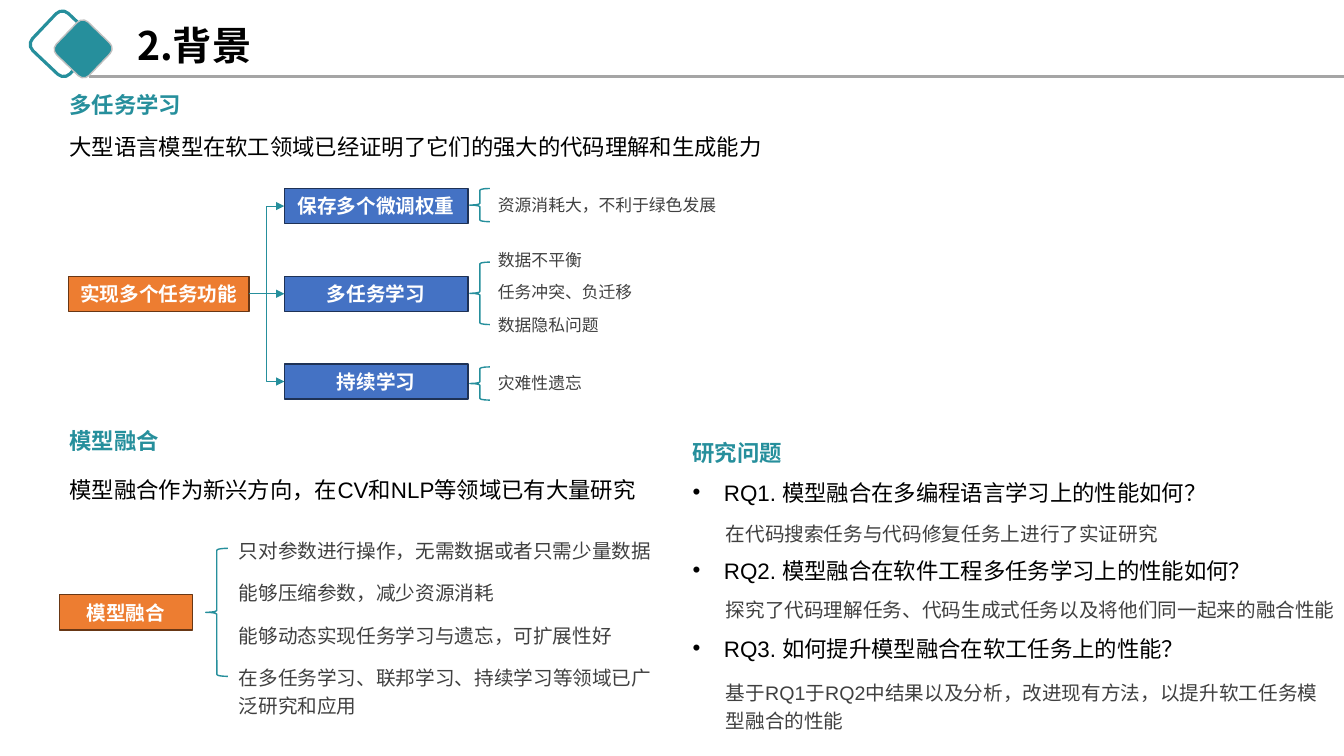
from lxml import etree
from pptx import Presentation
from pptx import util as u
from pptx.dml.color import RGBColor
from pptx.enum import shapes, text
from pptx.oxml.ns import qn

TEAL, ORANGE, BLUE = "268F9C", "ED7D31", "4472C4"
BLACK, GREY, WHITE = "000000", "404040", "FFFFFF"
HEADING_FONT = "Noto Sans CJK SC"
MIDDLE, TOP = text.MSO_ANCHOR.MIDDLE, text.MSO_ANCHOR.TOP


def rgb(value):
    """Turn a hex string into a colour."""
    return RGBColor.from_string(value)


def add_span(para, words, size, colour, font="Arial", bold=False):
    """Add one formatted run to a paragraph."""
    span = para.add_run()
    span.text = words
    span.font.size = u.Pt(size)
    span.font.name = font
    span.font.bold = bold
    span.font.color.rgb = rgb(colour)
    props = span._r.get_or_add_rPr()
    props.set("lang", "zh-CN")
    if font == HEADING_FONT:
        props.find(qn("a:latin")).addnext(
            etree.Element(qn("a:ea"), typeface=font))


def place(shape, left, top, width, height):
    """Move and size a shape, in inches."""
    shape.left, shape.top = u.Inches(left), u.Inches(top)
    shape.width, shape.height = u.Inches(width), u.Inches(height)


def add_text(page, words, left, top, width, height=0.37, size=16,
             colour=BLACK, font="Arial", bold=False, spacing=None, anchor=TOP):
    """Add a one-paragraph text box."""
    box = page.shapes.add_textbox(*map(u.Inches, (left, top, width, height)))
    frame = box.text_frame
    frame.word_wrap = True
    frame.auto_size = text.MSO_AUTO_SIZE.SHAPE_TO_FIT_TEXT
    frame.vertical_anchor = anchor
    para = frame.paragraphs[0]
    if spacing:
        para.line_spacing = spacing
    add_span(para, words, size, colour, font, bold)


def add_heading(page, words, left, top, width=1.88):
    """Add a teal section heading."""
    add_text(page, words, left, top, width, colour=TEAL,
             font=HEADING_FONT, bold=True)


def add_detail(page, words, left, top, width, height=0.36, size=14, anchor=TOP):
    """Add a grey explanatory text."""
    add_text(page, words, left, top, width, height, size, GREY,
             spacing=1.2, anchor=anchor)


def add_outline(page, kind, left, top, width, height, line, weight=1,
                fill=None, turn=0):
    """Add a preset shape with a line and an optional fill."""
    shape = page.shapes.add_shape(
        kind, *map(u.Inches, (left, top, width, height)))
    shape.shadow.inherit = False
    shape.rotation = turn
    if fill:
        shape.fill.solid()
        shape.fill.fore_color.rgb = rgb(fill)
    else:
        shape.fill.background()
    shape.line.color.rgb = rgb(line)
    shape.line.width = u.Pt(weight)
    return shape


def add_label(page, words, left, top, width, fill, line):
    """Add a filled rectangle with a bold white label."""
    box = add_outline(page, shapes.MSO_SHAPE.RECTANGLE, left, top, width, 0.35,
                      line, fill=fill)
    box.text_frame.vertical_anchor = MIDDLE
    para = box.text_frame.paragraphs[0]
    para.alignment = text.PP_ALIGN.CENTER
    add_span(para, words, 14, WHITE, "Calibri", True)
    return box


def add_brace(page, left, top, width, height):
    """Add a teal left brace."""
    add_outline(page, shapes.MSO_SHAPE.LEFT_BRACE, left, top, width, height, TEAL)


def add_line(page, kind, ends, colour, weight):
    """Add a connector without a shadow."""
    line = page.shapes.add_connector(kind, *map(u.Inches, ends))
    line.line.color.rgb = rgb(colour)
    line.line.width = u.Pt(weight)
    etree.SubElement(line._element.spPr, qn("a:effectLst"))
    return line


def add_branch(page, source, target):
    """Join two boxes by an elbow arrow."""
    arrow = add_line(page, shapes.MSO_CONNECTOR.ELBOW, (2.47, 2.92, 2.81, 2.92),
                     TEAL, 0.5)
    arrow.begin_connect(source, 3)
    arrow.end_connect(target, 1)
    etree.SubElement(arrow.line._get_or_add_ln(), qn("a:tailEnd"), type="triangle")


def add_header(page):
    """Draw the header ornament and fill the title."""
    rounded = shapes.MSO_SHAPE.ROUNDED_RECTANGLE
    add_outline(page, rounded, 0.37, 0.18, 0.51, 0.51, TEAL, 2.25, turn=43.4)
    add_line(page, shapes.MSO_CONNECTOR.STRAIGHT, (0.88, 0.76, 13.33, 0.76),
             "A5A5A5", 2.25)
    add_outline(page, rounded, 0.6, 0.26, 0.45, 0.45, "BFBFBF", 1, TEAL, 43.9)
    title = page.shapes.title
    place(title, 1.26, 0.16, 7.16, 0.57)
    title.text_frame.auto_size = text.MSO_AUTO_SIZE.NONE
    title.text_frame.vertical_anchor = MIDDLE
    para = title.text_frame.paragraphs[0]
    para.alignment = text.PP_ALIGN.LEFT
    add_span(para, "2.背景", 28, BLACK, HEADING_FONT, True)


def add_task_tree(page):
    """Draw the tree of ways to serve several tasks."""
    root = add_label(page, "实现多个任务功能", 0.68, 2.74, 1.79, ORANGE, "683715")
    ways = [
        ("保存多个微调权重", 1.87, 0.33, ["资源消耗大，不利于绿色发展"], 1.84),
        ("多任务学习", 2.6, 0.62, ["数据不平衡", "任务冲突、负迁移", "数据隐私问题"], 2.39),
        ("持续学习", 3.64, 0.33, ["灾难性遗忘"], 3.61),
    ]
    for row, (name, brace_top, brace_height, details, top) in enumerate(ways):
        way = add_label(page, name, 2.82, 1.87 + 0.87 * row, 1.82, BLUE, "1E3256")
        add_branch(page, root, way)
        add_brace(page, 4.66, brace_top, 0.2, brace_height)
        for step, detail in enumerate(details):
            add_detail(page, detail, 4.84, top + 0.32 * step, 2.37, 0.34, 12, MIDDLE)


def add_merging(page):
    """Draw the advantages of model merging."""
    add_label(page, "模型融合", 0.59, 5.9, 1.32, ORANGE, "683715")
    add_brace(page, 2.04, 5.44, 0.22, 1.27)
    advantages = [
        ("只对参数进行操作，无需数据或者只需少量数据", 5.53, 0.36),
        ("能够压缩参数，减少资源消耗", 4.24, 0.36),
        ("能够动态实现任务学习与遗忘，可扩展性好", 4.24, 0.36),
        ("在多任务学习、联邦学习、持续学习等领域已广泛研究和应用", 4.48, 0.64),
    ]
    for row, (words, width, height) in enumerate(advantages):
        add_detail(page, words, 2.27, 5.25 + 0.42 * row, width, height)


def add_questions(page):
    """Fill the list of research questions and add their answers."""
    body = page.placeholders[1]
    place(body, 6.77, 4.7, 6.56, 1.92)
    frame = body.text_frame
    frame.auto_size = text.MSO_AUTO_SIZE.NONE
    questions = [
        "RQ1. 模型融合在多编程语言学习上的性能如何？",
        "RQ2. 模型融合在软件工程多任务学习上的性能如何？",
        "RQ3. 如何提升模型融合在软工任务上的性能？",
    ]
    for row, question in enumerate(questions):
        para = frame.add_paragraph() if row else frame.paragraphs[0]
        props = para._p.get_or_add_pPr()
        props.set("marL", str(u.Inches(0.31)))
        props.set("indent", str(-u.Inches(0.31)))
        etree.SubElement(props, qn("a:buFont"), typeface="Arial")
        etree.SubElement(props, qn("a:buChar"), char="•")
        para.space_before = u.Pt(36.5 if row else 0)
        add_span(para, question, 16, BLACK)
    answers = [
        ("在代码搜索任务与代码修复任务上进行了实证研究", 5.08, 6.08, 0.36),
        ("探究了代码理解任务、代码生成式任务以及将他们同一起来的融合性能", 5.84, 6.43, 0.36),
        ("基于RQ1于RQ2中结果以及分析，改进现有方法，以提升软工任务模型融合的性能",
         6.66, 6.25, 0.64),
    ]
    for words, top, width, height in answers:
        add_detail(page, words, 7.1, top, width, height)


def main():
    """Build the background slide."""
    deck = Presentation()
    deck.slide_width, deck.slide_height = u.Inches(13.33), u.Inches(7.5)
    page = deck.slides.add_slide(deck.slide_layouts[1])
    add_header(page)
    add_heading(page, "多任务学习", 0.59, 0.86, 6.68)
    add_text(page, "大型语言模型在软工领域已经证明了它们的强大的代码理解和生成能力", 0.59, 1.27, 9.79)
    add_task_tree(page)
    add_heading(page, "模型融合", 0.59, 4.19)
    add_text(page, "模型融合作为新兴方向，在CV和NLP等领域已有大量研究", 0.59, 4.67, 6.08)
    add_merging(page)
    add_heading(page, "研究问题", 6.77, 4.31)
    add_questions(page)
    deck.save("out.pptx")


if __name__ == "__main__":
    main()
